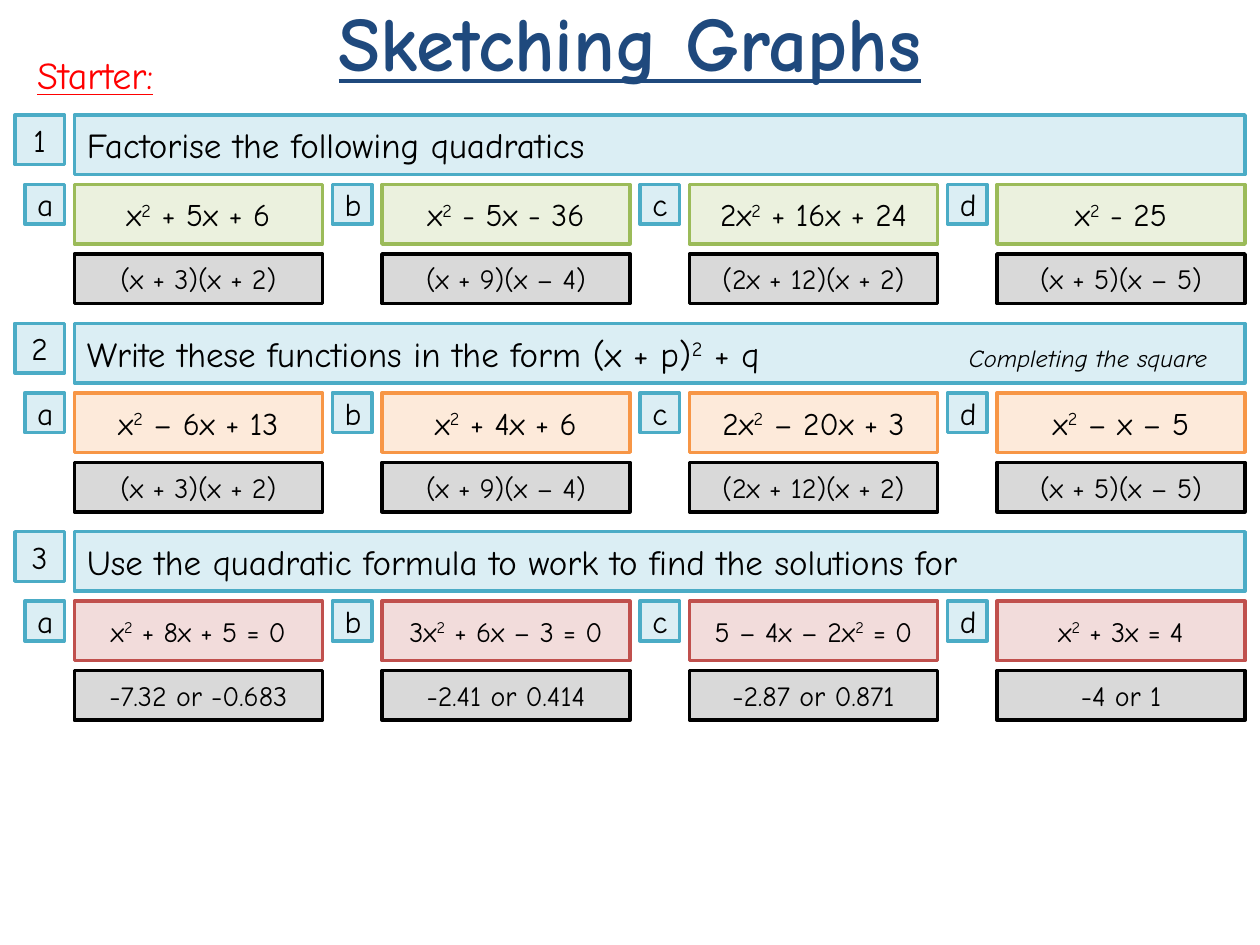
from pptx import Presentation
from pptx.dml.color import RGBColor
from pptx.enum.shapes import MSO_SHAPE
from pptx.enum.text import MSO_ANCHOR, MSO_AUTO_SIZE, PP_ALIGN
from pptx.oxml import parse_xml
from pptx.oxml.ns import nsdecls
from pptx.util import Cm, Pt

RECTANGLE = MSO_SHAPE.RECTANGLE
MIDDLE = MSO_ANCHOR.MIDDLE
LEFT, CENTER = PP_ALIGN.LEFT, PP_ALIGN.CENTER

FONT = "Comic Neue"
BLACK = RGBColor(0x00, 0x00, 0x00)
RED = RGBColor(0xFF, 0x00, 0x00)
NAVY = RGBColor(0x1F, 0x49, 0x7D)
# Fill and line pairs
AQUA = RGBColor(0xDB, 0xEE, 0xF4), RGBColor(0x4B, 0xAC, 0xC6)
GREEN = RGBColor(0xEB, 0xF1, 0xDE), RGBColor(0x9B, 0xBB, 0x59)
ORANGE = RGBColor(0xFD, 0xEA, 0xDA), RGBColor(0xF7, 0x96, 0x46)
ROSE = RGBColor(0xF2, 0xDC, 0xDB), RGBColor(0xC0, 0x50, 0x4D)
GREY = RGBColor(0xD9, 0xD9, 0xD9), BLACK

TITLE = "Sketching Graphs"
STARTER = "Starter:"
FACTORS = ["(x + 3)(x + 2)", "(x + 9)(x – 4)", "(2x + 12)(x + 2)", "(x + 5)(x – 5)"]
SECTIONS = [
    {
        "task": "Factorise the following quadratics", "hint": "",
        "colours": GREEN, "size": 18,
        "questions": ["x² + 5x + 6", "x² - 5x - 36", "2x² + 16x + 24", "x² - 25"],
        "answers": FACTORS,
    },
    {
        "task": "Write these functions in the form (x + p)² + q",
        "hint": "Completing the square",
        "colours": ORANGE, "size": 18,
        "questions": ["x² – 6x + 13", "x² + 4x + 6", "2x² – 20x + 3", "x² – x – 5"],
        "answers": FACTORS,
    },
    {
        "task": "Use the quadratic formula to work to find the solutions for",
        "hint": "", "colours": ROSE, "size": 16,
        "questions": ["x² + 8x + 5 = 0", "3x² + 6x – 3 = 0", "5 – 4x – 2x² = 0", "x² + 3x = 4"],
        "answers": ["-7.32 or -0.683", "-2.41 or 0.414", "-2.87 or 0.871", "-4 or 1"],
    },
]

# Grid, in centimetres
GAP = 0.2
GRID_LEFT, GRID_TOP = 1.5, 2.32
SECTION_STEP = 4.2
CELL_WIDTH, CELL_HEIGHT = 5, 1.2
LABEL_SIZE, NUMBER_SIZE, ANSWER_HEIGHT = 0.8, 1, 1
COLUMN_STEP = CELL_WIDTH + LABEL_SIZE + 2 * GAP
TASK_WIDTH = 3 * COLUMN_STEP + CELL_WIDTH
HINT_TAB = 17.78


def format_paragraph(paragraph, size, colour, align):
    paragraph.alignment = align
    paragraph.font.name = FONT
    paragraph.font.size = Pt(size)
    paragraph.font.color.rgb = colour


def add_maths(paragraph, text):
    """Add text, turning each ² into a raised 2."""
    for index, part in enumerate(text.split("²")):
        if index:
            power = paragraph.add_run()
            power.text = "2"
            power._r.get_or_add_rPr().set("baseline", "30000")
        paragraph.add_run().text = part


def add_box(slide, left, top, width, height, text, colours, size, align=CENTER):
    shape = slide.shapes.add_shape(RECTANGLE, Cm(left), Cm(top), Cm(width), Cm(height))
    shape.shadow.inherit = False
    fill, line = colours
    shape.fill.solid()
    shape.fill.fore_color.rgb = fill
    shape.line.color.rgb = line
    shape.line.width = Pt(2)
    frame = shape.text_frame
    frame.word_wrap = True
    frame.vertical_anchor = MIDDLE
    paragraph = frame.paragraphs[0]
    add_maths(paragraph, text)
    format_paragraph(paragraph, size, BLACK, align)
    return paragraph


def add_hint(paragraph, text):
    """Add a small italic remark at a tab stop near the right end of the bar."""
    paragraph._p.get_or_add_pPr().insert(0, parse_xml(
        f'<a:tabLst {nsdecls("a")}><a:tab pos="{Cm(HINT_TAB)}" algn="l"/></a:tabLst>'))
    hint = paragraph.add_run()
    hint.text = "\t" + text
    hint.font.size = Pt(14)
    hint.font.italic = True


def add_section(slide, number, section):
    top = GRID_TOP + (number - 1) * SECTION_STEP
    question_top = top + CELL_HEIGHT + GAP
    answer_top = question_top + CELL_HEIGHT + GAP
    task = add_box(slide, GRID_LEFT, top, TASK_WIDTH, CELL_HEIGHT,
                   section["task"], AQUA, 20, LEFT)
    if section["hint"]:
        add_hint(task, section["hint"])
    add_box(slide, GRID_LEFT - GAP - NUMBER_SIZE, top, NUMBER_SIZE, NUMBER_SIZE,
            str(number), AQUA, 18)
    columns = zip("abcd", section["questions"], section["answers"])
    for column, (letter, question, answer) in enumerate(columns):
        left = GRID_LEFT + column * COLUMN_STEP
        add_box(slide, left - GAP - LABEL_SIZE, question_top, LABEL_SIZE, LABEL_SIZE,
                letter, AQUA, 18)
        add_box(slide, left, question_top, CELL_WIDTH, CELL_HEIGHT,
                question, section["colours"], section["size"])
        add_box(slide, left, answer_top, CELL_WIDTH, ANSWER_HEIGHT, answer, GREY, 16)


def add_headings(slide):
    title = slide.shapes.title
    title.left, title.top, title.width, title.height = Cm(0), Cm(-0.08), Cm(25.4), Cm(1.8)
    frame = title.text_frame
    frame.text = TITLE
    frame.auto_size = MSO_AUTO_SIZE.NONE
    frame.vertical_anchor = MIDDLE
    frame.margin_top = frame.margin_bottom = 0
    paragraph = frame.paragraphs[0]
    format_paragraph(paragraph, 44, NAVY, CENTER)
    paragraph.font.bold = True
    paragraph.font.underline = True

    starter = slide.shapes.add_textbox(Cm(0.5), Cm(0.92), Cm(24.2), Cm(2.2))
    starter.text_frame.word_wrap = True
    paragraph = starter.text_frame.paragraphs[0]
    paragraph.text = STARTER
    format_paragraph(paragraph, 21.7, RED, LEFT)
    paragraph.font.underline = True


def main():
    presentation = Presentation()
    presentation.slide_width, presentation.slide_height = Cm(25.4), Cm(19.05)
    slide = presentation.slides.add_slide(presentation.slide_layouts[5])
    add_headings(slide)
    for number, section in enumerate(SECTIONS, start=1):
        add_section(slide, number, section)
    presentation.save("out.pptx")


if __name__ == "__main__":
    main()
